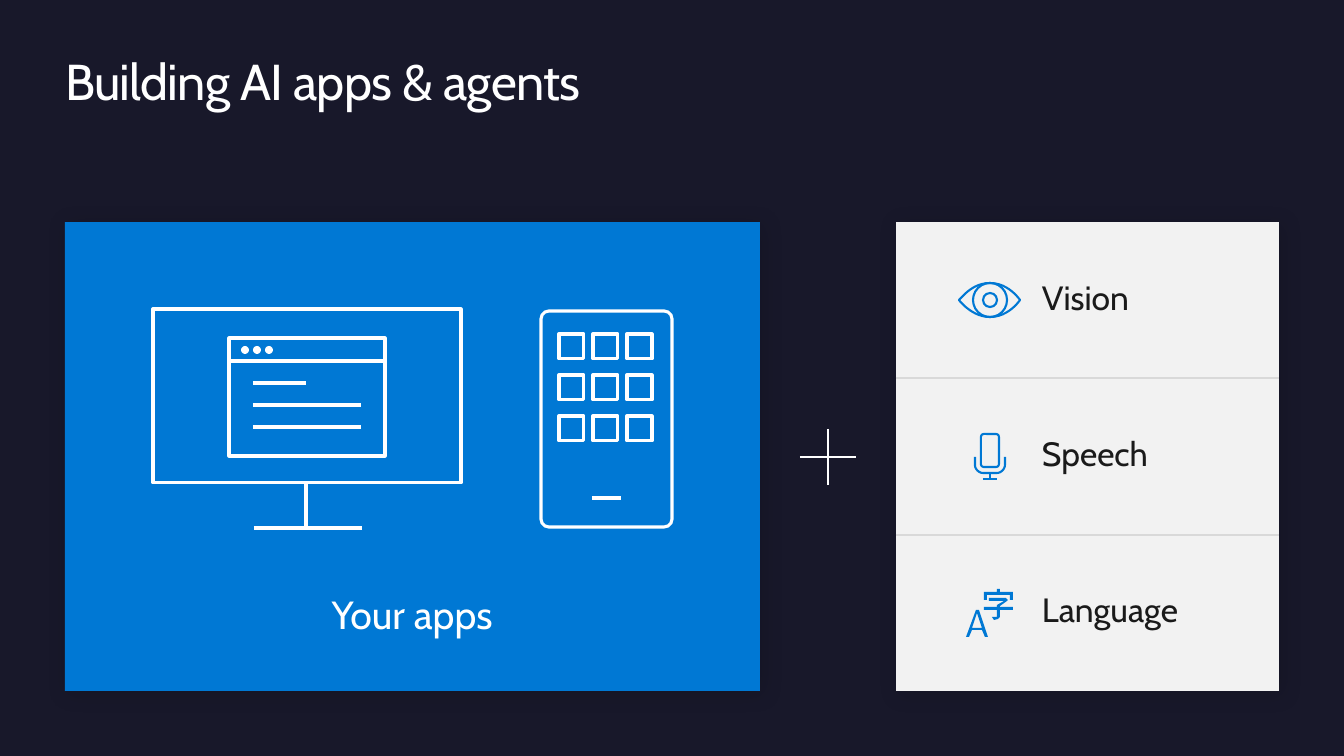
from lxml.etree import SubElement
from pptx import Presentation
from pptx.dml.color import RGBColor
from pptx.enum.shapes import MSO_CONNECTOR, MSO_SHAPE
from pptx.enum.text import MSO_ANCHOR, MSO_AUTO_SIZE, PP_ALIGN
from pptx.oxml.ns import qn
from pptx.util import Pt

PX = 9071  # EMU in one px
BLUE, WHITE, INK = "0078D4", "FFFFFF", "1A1A1A"
PANEL_GREY, RULE_GREY, NIGHT = "F2F2F2", "D9D9D9", "18182A"
FONT = "Cabin"


def colour(hex_code):
    return RGBColor.from_string(hex_code)


def paint(shape, fill=None, line=None, weight=2.25):
    shape.shadow.inherit = False
    if fill:
        shape.fill.solid()
        shape.fill.fore_color.rgb = colour(fill)
    else:
        shape.fill.background()
    if line:
        shape.line.color.rgb = colour(line)
        shape.line.width = Pt(weight)
    else:
        shape.line.fill.background()


prs = Presentation()
prs.slide_width, prs.slide_height = 1344 * PX, 756 * PX
slide = prs.slides.add_slide(prs.slide_layouts[5])
slide.background.fill.solid()
slide.background.fill.fore_color.rgb = colour(NIGHT)
shapes = slide.shapes

# Title
title = shapes.title
title.left, title.top, title.width, title.height = 65 * PX, 50 * PX, 916 * PX, 61 * PX
heading = title.text_frame
heading.margin_left = heading.margin_top = heading.margin_right = heading.margin_bottom = 0
heading.vertical_anchor = MSO_ANCHOR.TOP
heading.auto_size = MSO_AUTO_SIZE.NONE
heading.paragraphs[0].alignment = PP_ALIGN.LEFT
run = heading.paragraphs[0].add_run()
run.text = "Building AI apps & agents"
run.font.name, run.font.size = FONT, Pt(36)
run.font.color.rgb = colour(WHITE)
run.font._element.set("spc", "-50")

# Panels with a soft shadow
for left, width, fill in [(65, 695, BLUE), (896, 383, PANEL_GREY)]:
    panel = shapes.add_shape(MSO_SHAPE.RECTANGLE, left * PX, 222 * PX, width * PX, 469 * PX)
    paint(panel, fill)
    effects = panel._element.spPr.find(qn("a:effectLst"))
    shadow = SubElement(effects, qn("a:outerShdw"), blurRad="190500", dist="38100", dir="2700000")
    black = SubElement(shadow, qn("a:srgbClr"), val="000000")
    SubElement(black, qn("a:alpha"), val="15000")

# Monitor, app window, phone, eye rings and microphone capsule
outlines = [
    (MSO_SHAPE.RECTANGLE, 153, 309, 308, 174, WHITE, 2.25),
    (MSO_SHAPE.RECTANGLE, 229, 338, 156, 118, WHITE, 2.25),
    (MSO_SHAPE.ROUNDED_RECTANGLE, 541, 311, 131, 216, WHITE, 2.25),
    (MSO_SHAPE.OVAL, 973, 283, 34, 34, BLUE, 1.5),
    (MSO_SHAPE.OVAL, 983, 293, 14, 14, BLUE, 1.5),
    (MSO_SHAPE.ROUNDED_RECTANGLE, 981, 434, 18, 33, BLUE, 1.5),
]
# Phone app tiles
outlines += [(MSO_SHAPE.RECTANGLE, 559 + 34 * column, 334 + 41 * row, 25, 25, WHITE, 2.25)
             for row in range(3) for column in range(3)]
for kind, left, top, width, height, line, weight in outlines:
    outline = shapes.add_shape(kind, left * PX, top * PX, width * PX, height * PX)
    paint(outline, None, line, weight)
    if kind == MSO_SHAPE.ROUNDED_RECTANGLE:
        outline.adjustments[0] = 0.06 if width > 100 else 0.16

# Window buttons
for button in range(3):
    dot = shapes.add_shape(MSO_SHAPE.OVAL, (241 + 12 * button) * PX, 346 * PX, 8 * PX, 8 * PX)
    paint(dot, WHITE)

# Straight strokes
strokes = [
    (306, 483, 306, 528, WHITE, 2.25),   # monitor stand
    (254, 528, 362, 528, WHITE, 2.25),
    (229, 361, 385, 361, WHITE, 2.25),   # window bar and text
    (253, 383, 306, 383, WHITE, 2.25),
    (253, 405, 361, 405, WHITE, 2.25),
    (253, 427, 361, 427, WHITE, 2.25),
    (592, 498, 621, 498, WHITE, 2.25),   # phone home bar
    (800, 457, 856, 457, WHITE, 2),      # plus sign
    (828, 429, 828, 485, WHITE, 2),
    (896, 378, 1279, 378, RULE_GREY, 1.25),  # service dividers
    (896, 535, 1279, 535, RULE_GREY, 1.25),
    (990, 473, 990, 479, BLUE, 1.5),     # microphone foot
    (983, 479, 997, 479, BLUE, 1.5),
]
for x1, y1, x2, y2, line, weight in strokes:
    stroke = shapes.add_connector(MSO_CONNECTOR.STRAIGHT, x1 * PX, y1 * PX, x2 * PX, y2 * PX)
    stroke.line.color.rgb = colour(line)
    stroke.line.width = Pt(weight)
    SubElement(stroke._element.spPr, qn("a:effectLst"))

# Eyelids and microphone cradle: start, then two handles and an end per curve
eyelids = [(959, 300),
           (963, 296), (973, 283), (990, 283), (1009, 283), (1020, 300), (1020, 300),
           (1020, 300), (1009, 317), (990, 317), (974, 317), (962, 304), (959, 300)]
cradle = [(975, 457),
          (975, 457), (975, 465), (975, 465), (975, 469), (979, 473), (983, 473),
          (983, 473), (997, 473), (997, 473), (1001, 473), (1005, 469), (1005, 465),
          (1005, 465), (1005, 457), (1005, 457)]
STEPS = 12
for curve, closed in [(eyelids, True), (cradle, False)]:
    points = []
    for first in range(0, len(curve) - 1, 3):
        ends_and_handles = curve[first:first + 4]
        for step in range(1, STEPS + 1):
            t = step / STEPS
            weights = [(1 - t) ** 3, 3 * t * (1 - t) ** 2, 3 * t * t * (1 - t), t ** 3]
            points.append([PX * sum(w * point[axis] for w, point in zip(weights, ends_and_handles))
                           for axis in (0, 1)])
    builder = shapes.build_freeform(curve[0][0] * PX, curve[0][1] * PX)
    builder.add_line_segments(points, close=closed)
    paint(builder.convert_to_shape(), None, BLUE, 1.5)

# Language icon: letter with its counter, roof and stem of the character
letter = [(976, 610), (966, 637), (969, 637), (972, 630), (982, 630), (985, 637),
          (988, 637), (979, 610)]
counter = [(972, 628), (977, 613), (982, 628)]
roof = [(984, 592), (997, 592), (997, 589), (1000, 589), (1000, 592), (1013, 592), (1013, 600),
        (1010, 600), (1010, 595), (987, 595), (987, 600), (984, 600)]
stem = [(1000, 610), (1000, 617), (998, 619), (994, 620), (992, 617), (997, 617), (997, 610),
        (984, 610), (984, 607), (997, 607), (997, 605), (1004, 601), (989, 601), (989, 598),
        (1006, 598), (1008, 600), (1007, 601), (1000, 606), (1000, 607), (1013, 607), (1013, 610)]
builder = shapes.build_freeform(*letter[0], scale=PX)
builder.add_line_segments(letter[1:])
for contour in (counter, roof, stem):
    builder.move_to(*contour[0])
    builder.add_line_segments(contour[1:])
paint(builder.convert_to_shape(), BLUE)

# Labels
labels = [("Your apps", 297, 584, 230, 107, 0, 64, MSO_ANCHOR.BOTTOM, PP_ALIGN.CENTER, 28, WHITE)]
labels += [(service, 1010, 261 + 156 * row, 265, 78, 32, 0, MSO_ANCHOR.MIDDLE, PP_ALIGN.LEFT, 24, INK)
           for row, service in enumerate(["Vision", "Speech", "Language"])]
for words, left, top, width, height, indent, foot, anchor, align, size, ink in labels:
    label = shapes.add_textbox(left * PX, top * PX, width * PX, height * PX).text_frame
    label.word_wrap = True
    label.margin_left, label.margin_bottom = indent * PX, foot * PX
    label.margin_top = label.margin_right = 0
    label.vertical_anchor = anchor
    paragraph = label.paragraphs[0]
    paragraph.alignment = align
    paragraph.line_spacing = 0.9
    run = paragraph.add_run()
    run.text = words
    run.font.name, run.font.size = FONT, Pt(size)
    run.font.color.rgb = colour(ink)

prs.save("out.pptx")
